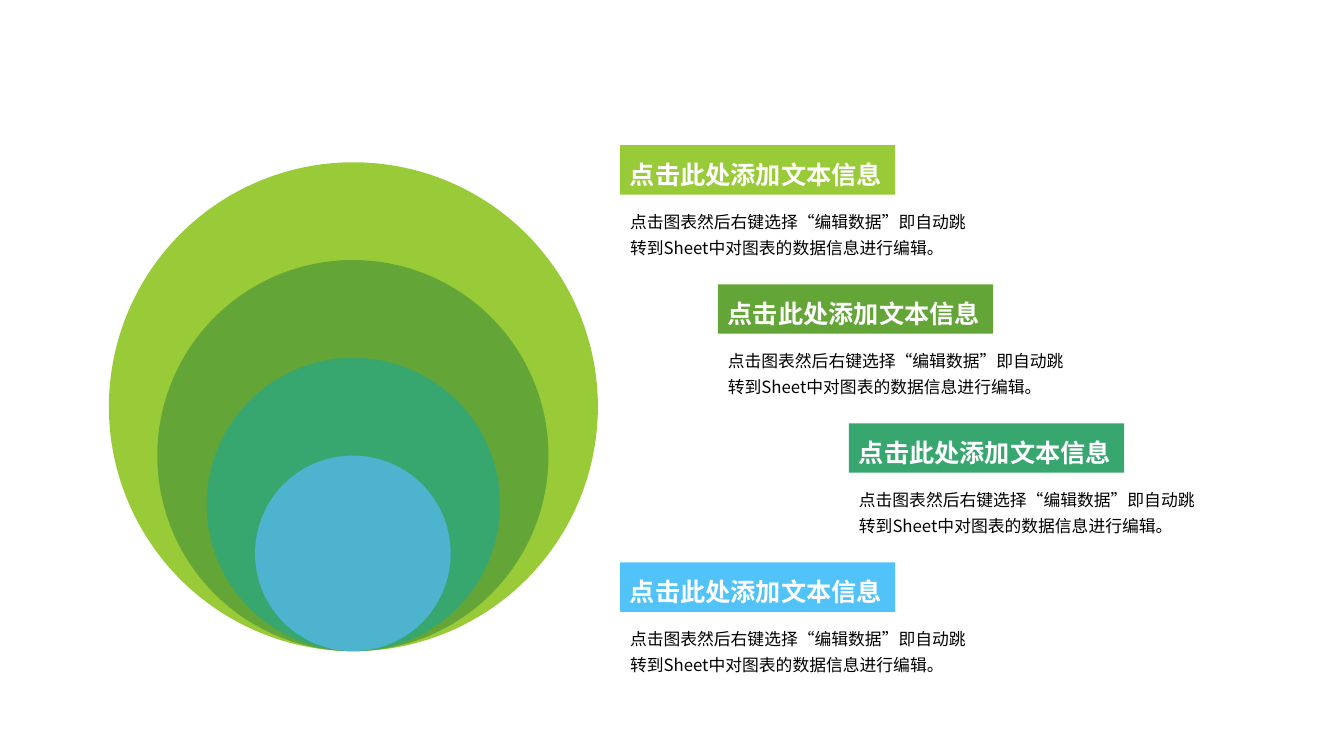
from dataclasses import dataclass

from pptx import Presentation
from pptx.dml.color import RGBColor
from pptx.enum.shapes import MSO_SHAPE
from pptx.enum.text import MSO_ANCHOR, MSO_AUTO_SIZE, PP_ALIGN
from pptx.oxml.ns import qn
from pptx.util import Pt

PX = 9144  # EMU in one px, 100 px to the inch
BLANK_LAYOUT = 6
OVAL, RECTANGLE = MSO_SHAPE.OVAL, MSO_SHAPE.RECTANGLE
TOP, LEFT = MSO_ANCHOR.TOP, PP_ALIGN.LEFT
GROW = MSO_AUTO_SIZE.SHAPE_TO_FIT_TEXT

LIME = RGBColor(0x99, 0xCB, 0x38)
GREEN = RGBColor(0x63, 0xA5, 0x37)
TEAL = RGBColor(0x37, 0xA7, 0x6F)
DULL_BLUE = RGBColor(0x4E, 0xB3, 0xCF)
SKY_BLUE = RGBColor(0x51, 0xC3, 0xF9)
WHITE = RGBColor(0xFF, 0xFF, 0xFF)
BLACK = RGBColor(0, 0, 0)

FONT = "Noto Sans CJK SC"
HEADING = "点击此处添加文本信息"
BODY = "点击图表然后右键选择“编辑数据”即自动跳转到Sheet中对图表的数据信息进行编辑。"
HEADING_FORMAT = {"name": FONT, "size": Pt(18), "bold": True}
BODY_FORMAT = {"name": FONT, "size": Pt(12)}

# Nested circles share a centre line and a bottom point
CIRCLE_CENTRE, CIRCLE_BOTTOM, CIRCLE_STEP = 350, 646, 97
# Text blocks are evenly spaced down the page
FIRST_TOP, BLOCK_PITCH, BODY_OFFSET = 144, 138, 55
LABEL_WIDTH, LABEL_HEIGHT = 273, 49
BODY_WIDTH, BODY_HEIGHT = 368, 60


@dataclass
class Level:
    steps: int
    circle_color: RGBColor
    label_color: RGBColor
    label_left: int


LEVELS = [
    Level(5, LIME, LIME, 615),
    Level(4, GREEN, GREEN, 712),
    Level(3, TEAL, TEAL, 842),
    Level(2, DULL_BLUE, SKY_BLUE, 615),
]


def add_filled(page, kind, left: int, top: int, width: int, height: int, color: RGBColor):
    shape = page.shapes.add_shape(kind, left * PX, top * PX, width * PX, height * PX)
    shape.shadow.inherit = False
    shape.fill.solid()
    shape.fill.fore_color.rgb = color
    shape.line.fill.background()
    return shape


def write_text(box, text: str, font_format: dict, color: RGBColor, wrap: bool) -> None:
    frame = box.text_frame
    frame.word_wrap = wrap
    frame.auto_size = GROW
    frame.vertical_anchor = TOP
    para = frame.paragraphs[0]
    para.alignment = LEFT
    para.line_spacing = 1.3
    span = para.add_run()
    span.text = text
    for name, value in font_format.items():
        setattr(span.font, name, value)
    span.font.color.rgb = color
    # Chinese characters take the East Asian typeface
    east_asian = span.font._element.makeelement(qn("a:ea"), {"typeface": FONT})
    span.font._element.append(east_asian)


def add_circle(page, level: Level) -> None:
    size = level.steps * CIRCLE_STEP
    add_filled(page, OVAL, CIRCLE_CENTRE - size // 2, CIRCLE_BOTTOM - size,
               size, size, level.circle_color)


def add_block(page, level: Level, top: int) -> None:
    body = page.shapes.add_textbox(level.label_left * PX, (top + BODY_OFFSET) * PX,
                                   BODY_WIDTH * PX, BODY_HEIGHT * PX)
    write_text(body, BODY, BODY_FORMAT, BLACK, wrap=True)
    label = add_filled(page, RECTANGLE, level.label_left, top,
                       LABEL_WIDTH, LABEL_HEIGHT, level.label_color)
    write_text(label, HEADING, HEADING_FORMAT, WHITE, wrap=False)


def main() -> None:
    deck = Presentation()
    deck.slide_width, deck.slide_height = 1333 * PX, 750 * PX
    page = deck.slides.add_slide(deck.slide_layouts[BLANK_LAYOUT])
    # Circles, largest at the back
    for level in LEVELS:
        add_circle(page, level)
    # Headings with their descriptions
    for index, level in enumerate(LEVELS):
        add_block(page, level, FIRST_TOP + index * BLOCK_PITCH)
    deck.save("out.pptx")


if __name__ == "__main__":
    main()
